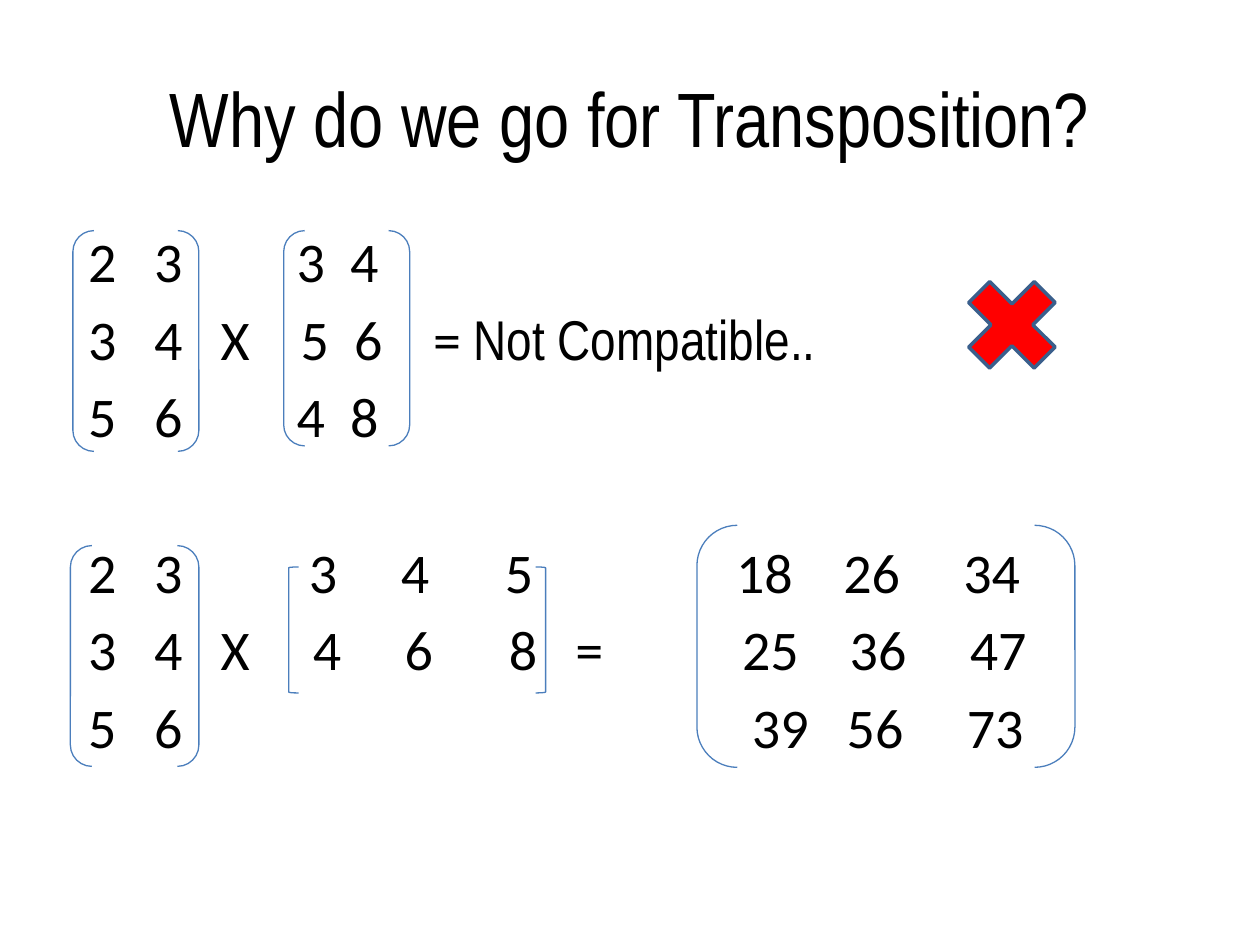
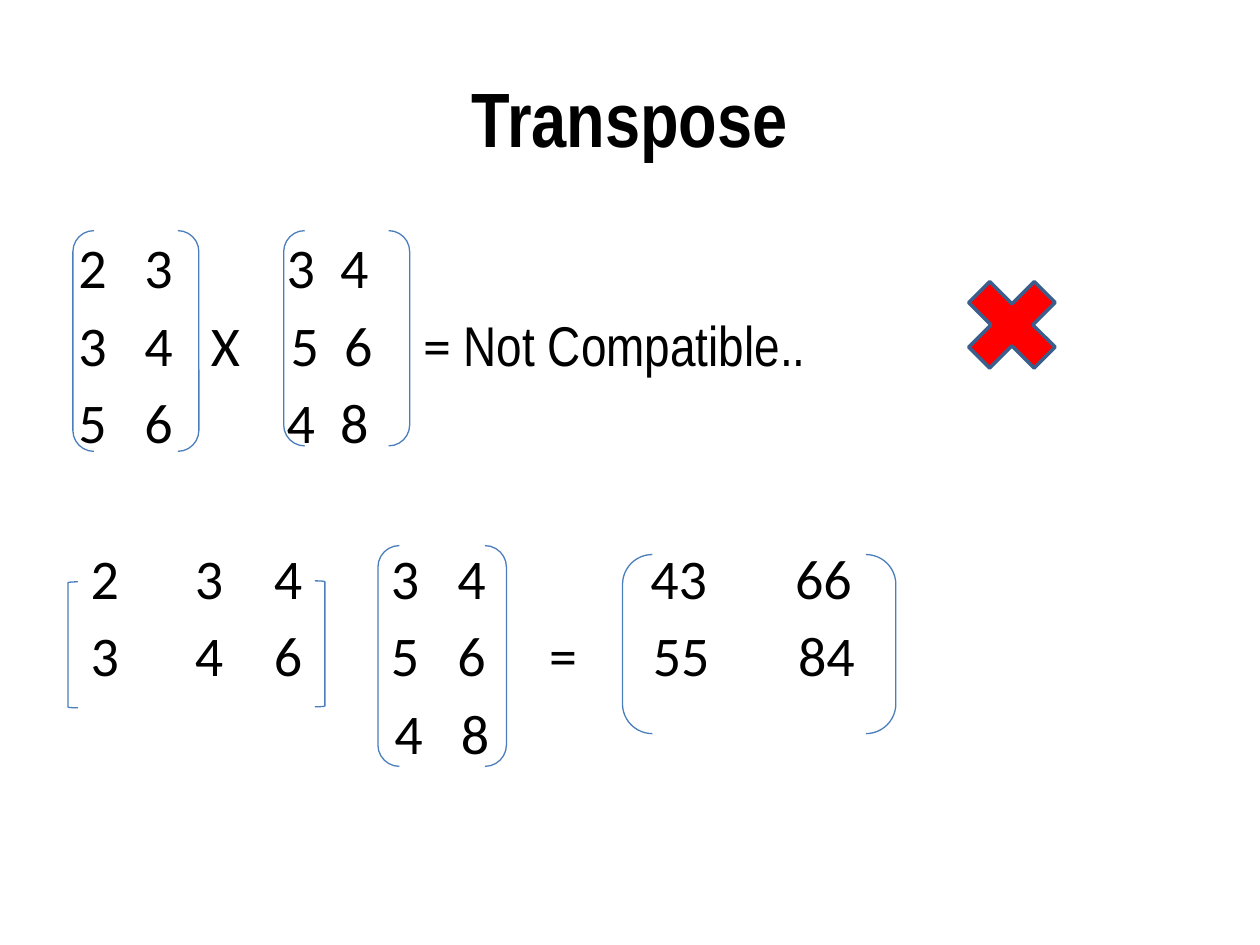
from dataclasses import dataclass

from lxml.etree import SubElement
from pptx import Presentation
from pptx.dml.color import RGBColor
from pptx.enum.shapes import MSO_SHAPE
from pptx.enum.text import MSO_ANCHOR, PP_ALIGN
from pptx.oxml.ns import qn
from pptx.util import Cm, Pt

BLACK = RGBColor(0x00, 0x00, 0x00)
RED = RGBColor(0xFF, 0x00, 0x00)
BRACKET_BLUE = RGBColor(0x4B, 0x7E, 0xBC)
CROSS_EDGE = RGBColor(0x3A, 0x5F, 0x8C)
NARROW, DIGITS = "Arial Narrow", "Calibri"

BODY_SIZE = 32
ROW_GAP = 5.8
EQUATION_GAP = 50.6  # one empty line plus the usual gap on both sides

PAIR = MSO_SHAPE.DOUBLE_BRACKET
LEFT = MSO_SHAPE.LEFT_BRACKET
RIGHT = MSO_SHAPE.RIGHT_BRACKET


@dataclass(frozen=True)
class Row:
    """One line across an equation: each entry starts at its stop (cm)."""
    entries: str
    stops: tuple[float, ...]
    remark: str = ""


@dataclass(frozen=True)
class Bracket:
    """Matrix bracket, measured in cm."""
    kind: MSO_SHAPE
    left: float
    top: float
    width: float
    height: float


@dataclass(frozen=True)
class Example:
    title: str
    bold: bool
    body_left: float
    body_top: float
    product: tuple[Row, ...]
    brackets: tuple[Bracket, ...]


# The failing product and its brackets open both slides
OUTER_STOPS = (0.26, 1.59, 4.46, 5.54)
INCOMPATIBLE = (
    Row("2 3 3 4", OUTER_STOPS),
    Row("3 4 X 5 6 =", (0.26, 1.59, 2.93, 4.54, 5.62, 7.21), "Not Compatible.."),
    Row("5 6 4 8", OUTER_STOPS),
)
INCOMPATIBLE_BRACKETS = (
    Bracket(PAIR, 1.47, 4.65, 2.54, 4.45),
    Bracket(PAIR, 5.72, 4.65, 2.54, 4.34),
)

EXAMPLES = (
    Example(
        "Why do we go for Transposition?", False, 1.27, 4.45,
        (
            Row("2 3 3 4 5 18 26 34",
                (0.26, 1.59, 4.71, 6.56, 8.66, 13.32, 15.48, 17.9)),
            Row("3 4 X 4 6 8 = 25 36 47",
                (0.26, 1.59, 2.93, 4.79, 6.64, 8.74, 10.08, 13.44, 15.61, 18.03)),
            Row("5 6 39 56 73", (0.26, 1.59, 13.64, 15.55, 17.97)),
        ),
        (
            Bracket(PAIR, 1.42, 11, 2.59, 4.45),
            Bracket(RIGHT, 10.8, 11.43, 0.2, 2.54),
            Bracket(LEFT, 5.82, 11.43, 0.2, 2.54),
            Bracket(PAIR, 14.05, 10.59, 7.62, 4.88),
        ),
    ),
    Example(
        "Transpose", True, 1.07, 4.57,
        (
            Row("2 3 4 3 4 43 66", (0.51, 2.61, 4.2, 6.56, 7.9, 11.79, 14.71)),
            Row("3 4 6 5 6 = 55 84",
                (0.51, 2.61, 4.2, 6.56, 7.9, 9.75, 11.84, 14.77)),
            Row("4 8", (6.63, 7.97)),
        ),
        (
            Bracket(PAIR, 7.62, 11, 2.59, 4.45),
            Bracket(RIGHT, 6.35, 11.71, 0.2, 2.54),
            Bracket(LEFT, 1.37, 11.73, 0.2, 2.54),
            Bracket(PAIR, 12.55, 11.18, 5.51, 3.61),
        ),
    ),
)


def add_text(paragraph, text: str, *, font=DIGITS, size=BODY_SIZE, bold=False,
             color=BLACK) -> None:
    run = paragraph.add_run()
    run.text = text
    run.font.name = font
    run.font.size = Pt(size)
    run.font.bold = bold
    run.font.color.rgb = color


def set_tab_stops(paragraph, stops: tuple[float, ...]) -> None:
    tab_list = SubElement(paragraph._p.get_or_add_pPr(), qn("a:tabLst"))
    for stop in stops:
        SubElement(tab_list, qn("a:tab"), pos=str(int(Cm(stop))), algn="l")


def add_title(slide, example: Example) -> None:
    title = slide.shapes.title
    title.left, title.top = Cm(1.27), Cm(0.76)
    title.width, title.height = Cm(22.86), Cm(3.18)
    title.text_frame.vertical_anchor = MSO_ANCHOR.MIDDLE
    heading = title.text_frame.paragraphs[0]
    heading.alignment = PP_ALIGN.CENTER
    add_text(heading, example.title, font=NARROW, size=44, bold=example.bold)


def add_equations(slide, example: Example) -> None:
    body = slide.shapes.add_textbox(Cm(example.body_left), Cm(example.body_top),
                                    Cm(22.86), Cm(12.57))
    frame = body.text_frame
    frame.word_wrap = True
    for index, row in enumerate(INCOMPATIBLE + example.product):
        line = frame.add_paragraph() if index else frame.paragraphs[0]
        if index:
            starts_product = index == len(INCOMPATIBLE)
            line.space_before = Pt(EQUATION_GAP if starts_product else ROW_GAP)
        set_tab_stops(line, row.stops)
        entries = "".join(f"\t{entry}" for entry in row.entries.split())
        if row.remark:
            add_text(line, entries + " ")
            add_text(line, row.remark, font=NARROW)
        else:
            add_text(line, entries)


def add_outline(slide, outline: Bracket, *, color=BRACKET_BLUE, weight=0.75,
                fill=None) -> None:
    shape = slide.shapes.add_shape(outline.kind, Cm(outline.left), Cm(outline.top),
                                   Cm(outline.width), Cm(outline.height))
    shape.shadow.inherit = False
    shape.line.color.rgb = color
    shape.line.width = Pt(weight)
    if fill is None:
        shape.fill.background()
    else:
        shape.fill.solid()
        shape.fill.fore_color.rgb = fill


def main() -> None:
    deck = Presentation()
    deck.slide_width, deck.slide_height = Cm(25.4), Cm(19.05)
    title_only = deck.slide_layouts[5]
    cross = Bracket(MSO_SHAPE.MATH_MULTIPLY, 19.13, 5.28, 2.54, 2.54)
    for example in EXAMPLES:
        slide = deck.slides.add_slide(title_only)
        add_title(slide, example)
        add_equations(slide, example)
        for bracket in INCOMPATIBLE_BRACKETS + example.brackets:
            add_outline(slide, bracket)
        # Red cross marks the product that cannot be formed
        add_outline(slide, cross, color=CROSS_EDGE, weight=2, fill=RED)
    deck.save("out.pptx")


if __name__ == "__main__":
    main()
